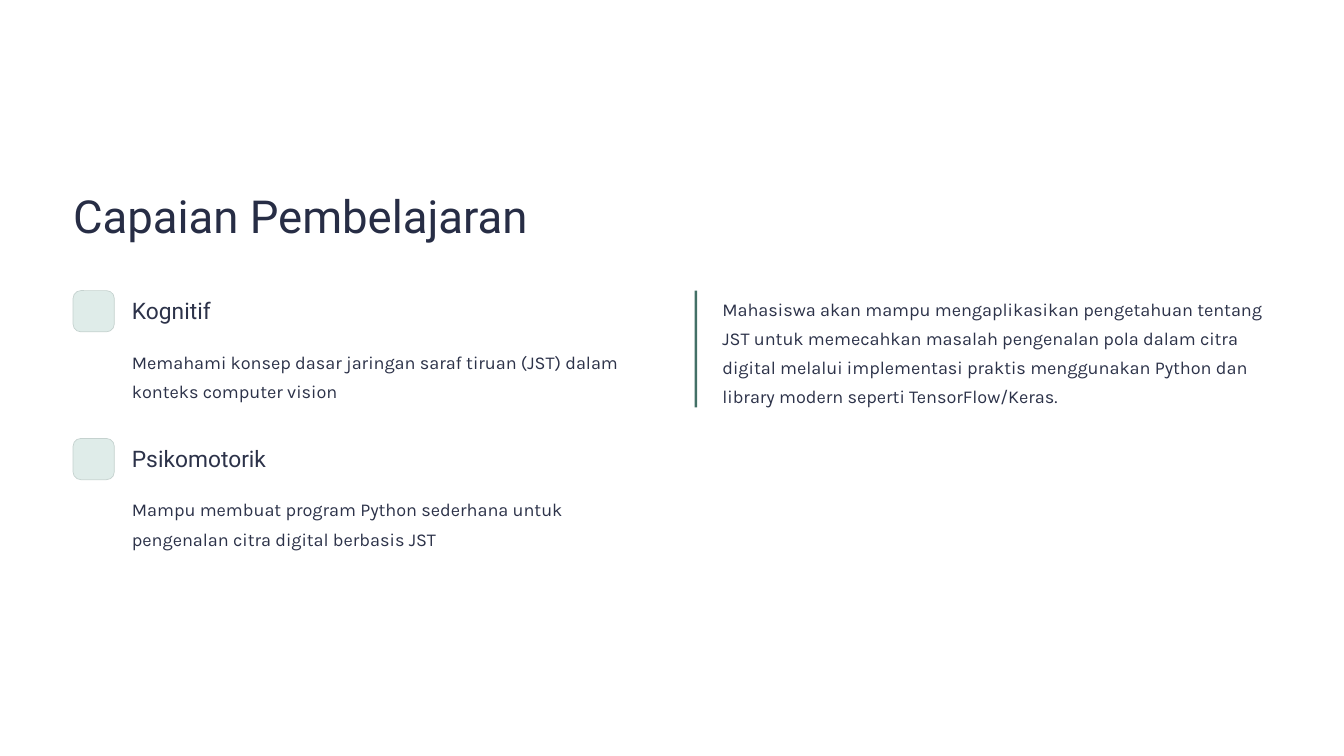
from pptx import Presentation
from pptx.dml.color import RGBColor
from pptx.enum.shapes import MSO_SHAPE as Shape
from pptx.util import Inches, Pt

INK = "2C3249"
OUTCOMES = [
    ("Kognitif",
     "Memahami konsep dasar jaringan saraf tiruan (JST) dalam konteks computer vision"),
    ("Psikomotorik",
     "Mampu membuat program Python sederhana untuk pengenalan citra digital berbasis JST"),
]
SUMMARY = ("Mahasiswa akan mampu mengaplikasikan pengetahuan tentang JST untuk "
           "memecahkan masalah pengenalan pola dalam citra digital melalui implementasi "
           "praktis menggunakan Python dan library modern seperti TensorFlow/Keras.")


def color(value):
    return RGBColor.from_string(value)


def add_text(page, left, top, width, height, text, font, size, leading,
             ink=INK, wrap=False):
    box = page.shapes.add_textbox(Inches(left), Inches(top), Inches(width), Inches(height))
    frame = box.text_frame
    frame.margin_left = frame.margin_right = frame.margin_top = frame.margin_bottom = 0
    frame.word_wrap = wrap
    para = frame.paragraphs[0]
    para.line_spacing = Pt(leading)
    span = para.add_run()
    span.text = text
    span.font.name = font
    span.font.size = Pt(size)
    span.font.color.rgb = color(ink)


def add_body(page, left, top, width, height, text):
    add_text(page, left, top, width, height, text, "Karla", 15.5, 25, wrap=True)


def add_block(page, kind, left, top, width, height, fill):
    block = page.shapes.add_shape(kind, Inches(left), Inches(top),
                                  Inches(width), Inches(height))
    block.shadow.inherit = False
    block.fill.solid()
    block.fill.fore_color.rgb = color(fill)
    block.line.fill.background()
    return block


def add_outcome(page, left, top, width, heading, detail):
    # Rounded marker
    marker = add_block(page, Shape.ROUNDED_RECTANGLE, left, top, 0.49, 0.49, "DFECE9")
    marker.adjustments[0] = 0.187
    marker.line.color.rgb = color("C5D2CF")
    marker.line.width = Pt(0.6)

    # Heading and description
    indent = 0.7
    add_text(page, left + indent, top + 0.07, 2.71, 0.34, heading, "Roboto", 19.5, 24)
    add_body(page, left + indent, top + 0.63, width - indent, 0.69, detail)


def add_summary(page, left, top, width, height):
    # Text beside an accent bar
    indent = 0.33
    add_body(page, left + indent, top, width - indent, height, SUMMARY)
    add_block(page, Shape.RECTANGLE, left, top, 0.03, height, "437066")


def build_slide(deck):
    page = deck.slides.add_slide(deck.slide_layouts[6])
    page.background.fill.solid()
    page.background.fill.fore_color.rgb = color("FFFFFF")

    # Title
    left, top = 0.87, 3.46
    add_text(page, left, 2.21, 5.43, 0.68, "Capaian Pembelajaran",
             "Roboto", 39, 48.5, ink="272D45")

    # Learning outcomes and summary
    for row, (heading, detail) in enumerate(OUTCOMES):
        add_outcome(page, left, top + row * 1.76, 6.86, heading, detail)
    add_summary(page, 8.27, top, 6.87, 1.39)


def main():
    deck = Presentation()
    deck.slide_width, deck.slide_height = Inches(16), Inches(9)
    build_slide(deck)
    deck.save("out.pptx")


if __name__ == "__main__":
    main()
